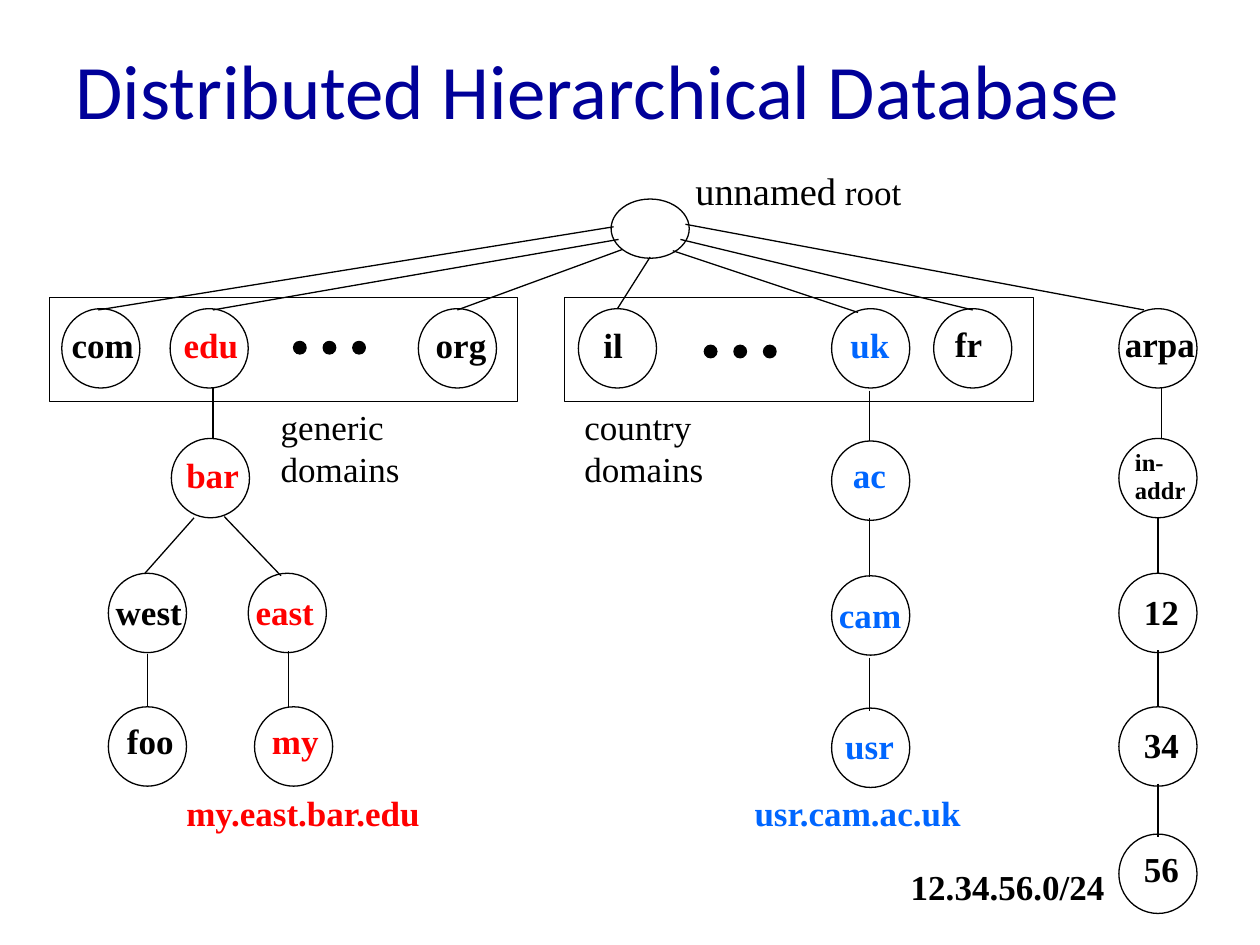
from pptx import Presentation
from pptx.dml.color import RGBColor
from pptx.enum.shapes import MSO_CONNECTOR as Connector, MSO_SHAPE as Preset
from pptx.enum.text import MSO_ANCHOR as Anchor
from pptx.oxml.ns import qn
from pptx.util import Inches, Pt
from lxml.etree import SubElement

COLORS = {"title": "000099", "ink": "000000", "edu": "FF0000", "uk": "0066FF"}
SERIF = "Times New Roman"
NODE_W, NODE_H = 0.62, 0.63
TOP_ROW = 2.45
LABEL_H = 0.43
ARPA_X = 8.88
UK_X = 6.6

NODES = [
    ("com", "ink", 0.49, TOP_ROW, 0.47, 2.52, 0.69),
    ("edu", "edu", 1.35, TOP_ROW, 1.36, 2.52, 0.63),
    ("org", "ink", 3.32, TOP_ROW, 3.36, 2.52, 0.6),
    ("il", "ink", 4.59, TOP_ROW, 4.69, 2.52, 0.36),
    ("uk", "uk", UK_X, TOP_ROW, 6.65, 2.52, 0.51),
    ("fr", "ink", 7.41, TOP_ROW, 7.48, 2.51, 0.42),
    ("arpa", "ink", ARPA_X, TOP_ROW, 8.83, 2.51, 0.76),
    ("bar", "edu", 1.36, 3.48, 1.38, 3.55, 0.62),
    ("west", "ink", 0.86, 4.55, 0.82, 4.64, 0.73),
    ("east", "edu", 1.97, 4.55, 1.93, 4.64, 0.66),
    ("foo", "ink", 0.86, 5.61, 0.91, 5.66, 0.57),
    ("my", "edu", 2.02, 5.61, 2.06, 5.66, 0.57),
    ("ac", "uk", UK_X, 3.5, 6.67, 3.55, 0.46),
    ("cam", "uk", UK_X, 4.57, 6.56, 4.66, 0.69),
    ("usr", "uk", UK_X, 5.62, 6.61, 5.7, 0.59),
    ("12", "ink", ARPA_X, 4.55, 8.98, 4.64, 0.48),
    ("34", "ink", ARPA_X, 5.61, 8.98, 5.69, 0.48),
    ("56", "ink", ARPA_X, 6.62, 8.98, 6.68, 0.48),
]

BRANCHES = [
    (4.87, 1.8, 0.78, 2.46), (4.91, 1.9, 1.69, 2.46), (4.94, 1.98, 3.63, 2.46),
    (5.16, 2.04, 4.9, 2.45), (5.44, 1.78, 9.08, 2.46), (5.4, 1.9, 7.72, 2.46),
    (5.34, 1.99, 6.81, 2.48),
    (1.69, 3.08, 1.69, 3.48), (1.54, 4.11, 1.15, 4.55), (1.78, 4.1, 2.23, 4.57),
    (1.17, 5.19, 1.17, 5.61), (2.29, 5.17, 2.29, 5.61),
    (6.9, 3.1, 6.9, 3.5), (6.9, 4.11, 6.9, 4.58), (6.9, 5.22, 6.9, 5.64),
    (9.22, 3.07, 9.22, 3.48), (9.19, 4.1, 9.19, 4.55),
    (9.19, 5.16, 9.19, 5.61), (9.19, 6.22, 9.19, 6.64),
]

CAPTIONS = [
    ("generic\vdomains", "ink", False, 2.13, 3.17, 2.03),
    ("country\vdomains", "ink", False, 4.54, 3.17, 2.06),
    ("my.east.bar.edu", "edu", True, 1.38, 6.23, 2.09),
    ("usr.cam.ac.uk", "uk", True, 5.89, 6.23, 1.86),
    ("12.34.56.0/24", "ink", True, 7.13, 6.82, 1.74),
]


def rgb(name):
    return RGBColor.from_string(COLORS[name])


def add_text(slide, text, left, top, width, height=LABEL_H, size=20, color="ink",
             bold=False, font=SERIF, anchor=Anchor.TOP, wrap=False, spacing=None):
    box = slide.shapes.add_textbox(*map(Inches, (left, top, width, height)))
    frame = box.text_frame
    frame.word_wrap = wrap
    frame.margin_right = 0
    frame.vertical_anchor = anchor
    frame.text = text
    for index, paragraph in enumerate(frame.paragraphs):
        paragraph.line_spacing = spacing
        if index:
            paragraph.space_before = Pt(size * 0.2)
        paragraph.font.name = font
        paragraph.font.size = Pt(size)
        paragraph.font.bold = bold
        paragraph.font.color.rgb = rgb(color)
    return frame


def add_outline(parent, preset, left, top, width, height, filled=False):
    outline = parent.shapes.add_shape(preset, *map(Inches, (left, top, width, height)))
    outline.shadow.inherit = False
    if filled:
        outline.fill.solid()
        outline.fill.fore_color.rgb = rgb("ink")
    else:
        outline.fill.background()
    outline.line.color.rgb = rgb("ink")
    outline.line.width = Pt(0.75)


def add_node(slide, left, top):
    add_outline(slide, Preset.OVAL, left, top, NODE_W, NODE_H)


def add_ellipsis(slide, left, top):
    dots = slide.shapes.add_group_shape()
    for step in range(3):
        add_outline(dots, Preset.OVAL, left + step * 0.235, top, 0.1, 0.1, filled=True)


def add_branch(slide, *ends):
    branch = slide.shapes.add_connector(Connector.STRAIGHT, *map(Inches, ends))
    branch.line.color.rgb = rgb("ink")
    branch.line.width = Pt(0.75)
    SubElement(branch._element.spPr, qn("a:effectLst"))


def main():
    deck = Presentation()
    deck.slide_width, deck.slide_height = Inches(10), Inches(7.5)
    slide = deck.slides.add_slide(deck.slide_layouts[6])

    add_text(slide, "Distributed Hierarchical Database", 0.5, 0.08, 9, 1.25, size=44,
             color="title", font="Calibri", anchor=Anchor.MIDDLE, wrap=True)

    for domain_left in (0.39, 4.48):
        add_outline(slide, Preset.RECTANGLE, domain_left, 2.36, 3.72, 0.83)
    add_ellipsis(slide, 2.33, 2.71)
    add_ellipsis(slide, 5.59, 2.74)

    add_outline(slide, Preset.OVAL, 4.85, 1.58, 0.62, 0.47)
    root = add_text(slide, "unnamed", 5.42, 1.28, 1.85, 0.47, size=22)
    root_word = root.paragraphs[0].add_run()
    root_word.text = " root"
    root_word.font.size = Pt(20)

    for ends in BRANCHES:
        add_branch(slide, *ends)
    for label, color, left, top, label_left, label_top, label_width in NODES:
        add_node(slide, left, top)
        add_text(slide, label, label_left, label_top, label_width, color=color, bold=True)
    add_node(slide, ARPA_X, 3.48)
    add_text(slide, "in-\naddr", 8.91, 3.54, 0.6, 0.47, size=14, bold=True, spacing=0.8)

    for caption, color, bold, left, top, width in CAPTIONS:
        add_text(slide, caption, left, top, width, color=color, bold=bold)

    deck.save("out.pptx")


if __name__ == "__main__":
    main()
